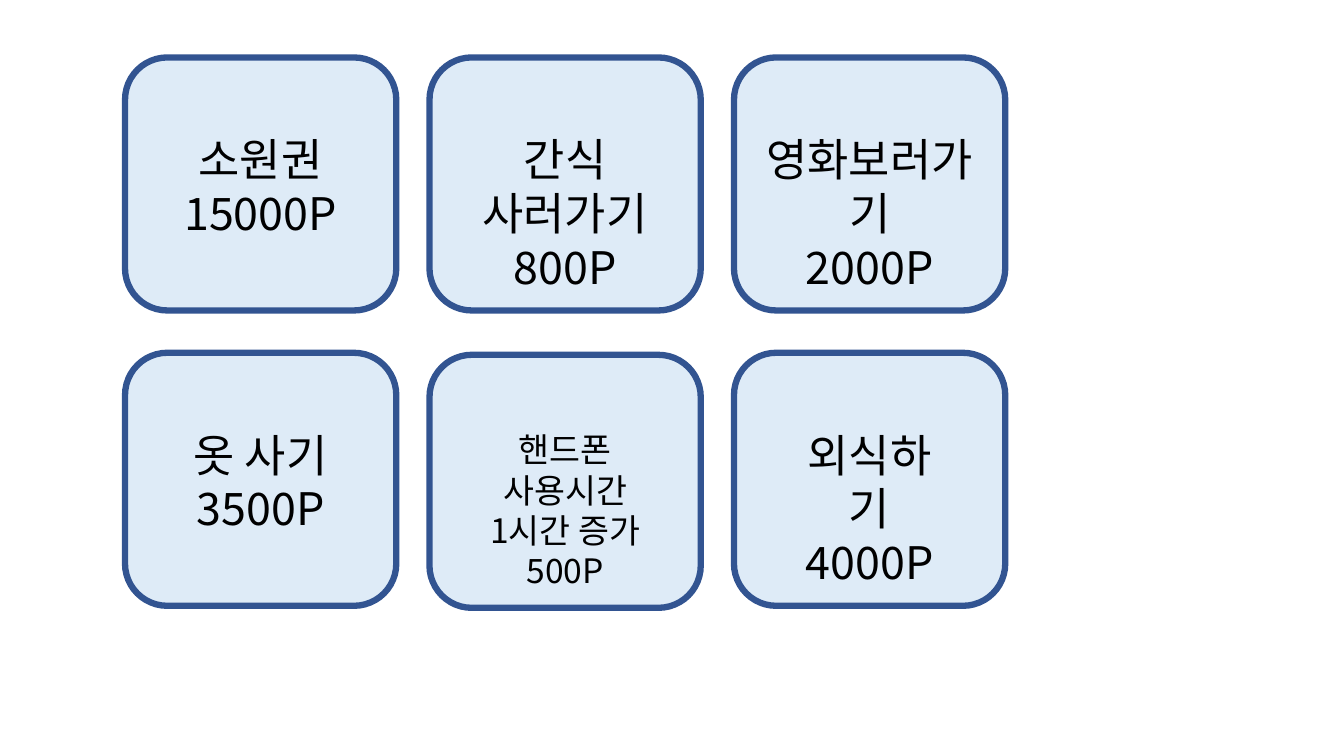
"""Builds a slide of six reward cards with their point prices."""
from pptx import Presentation
from pptx.dml.color import RGBColor
from pptx.enum.shapes import MSO_SHAPE
from pptx.enum.text import MSO_AUTO_SIZE, PP_ALIGN
from pptx.oxml.ns import qn
from pptx.util import Inches, Pt
from lxml import etree

FONT = "Noto Sans CJK KR"
CARD_W, CARD_H = 2.69, 2.51
LEFT, COL_STEP = 1.24, 3.02
LABEL_DROP = 0.69


def rgb(value):
    return RGBColor.from_string(value)


rewards = [
    (0, 0.57, 1.88, 1.18, 32, "소원권\n15000P"),
    (0, 3.5, 1.6, 1.18, 32, "옷 사기\n3500P"),
    (1, 0.57, 2.63, 1.18, 32, "간식 사러가기\n800P"),
    (1, 3.52, 2.31, 1.31, 24, "핸드폰 사용시간\n1시간 증가\n500P"),
    (2, 0.57, 2.52, 1.18, 32, "영화보러가기\n2000P"),
    (2, 3.5, 1.74, 1.18, 32, "외식하기\n4000P"),
]

prs = Presentation()
prs.slide_width, prs.slide_height = Inches(13.33), Inches(7.5)
s = prs.slides.add_slide(prs.slide_layouts[6])

for col, top, label_w, label_h, size, text in rewards:
    left = LEFT + col * COL_STEP
    card = s.shapes.add_shape(MSO_SHAPE.ROUNDED_RECTANGLE, Inches(left), Inches(top),
                              Inches(CARD_W), Inches(CARD_H))
    card.shadow.inherit = False
    card.fill.solid()
    card.fill.fore_color.rgb = rgb("DEEBF7")
    card.line.color.rgb = rgb("325491")
    card.line.width = Pt(4.5)

    label = s.shapes.add_textbox(Inches(left + (CARD_W - label_w) / 2), Inches(top + LABEL_DROP),
                                 Inches(label_w), Inches(label_h))
    tf = label.text_frame
    tf.word_wrap = True
    tf.auto_size = MSO_AUTO_SIZE.SHAPE_TO_FIT_TEXT
    tf.text = text
    for p in tf.paragraphs:
        p.alignment = PP_ALIGN.CENTER
        for r in p.runs:
            r.font.size = Pt(size)
            r.font.color.rgb = rgb("000000")
            r.font.name = FONT
            etree.SubElement(r._r.get_or_add_rPr(), qn("a:ea"), typeface=FONT)

prs.save("out.pptx")
